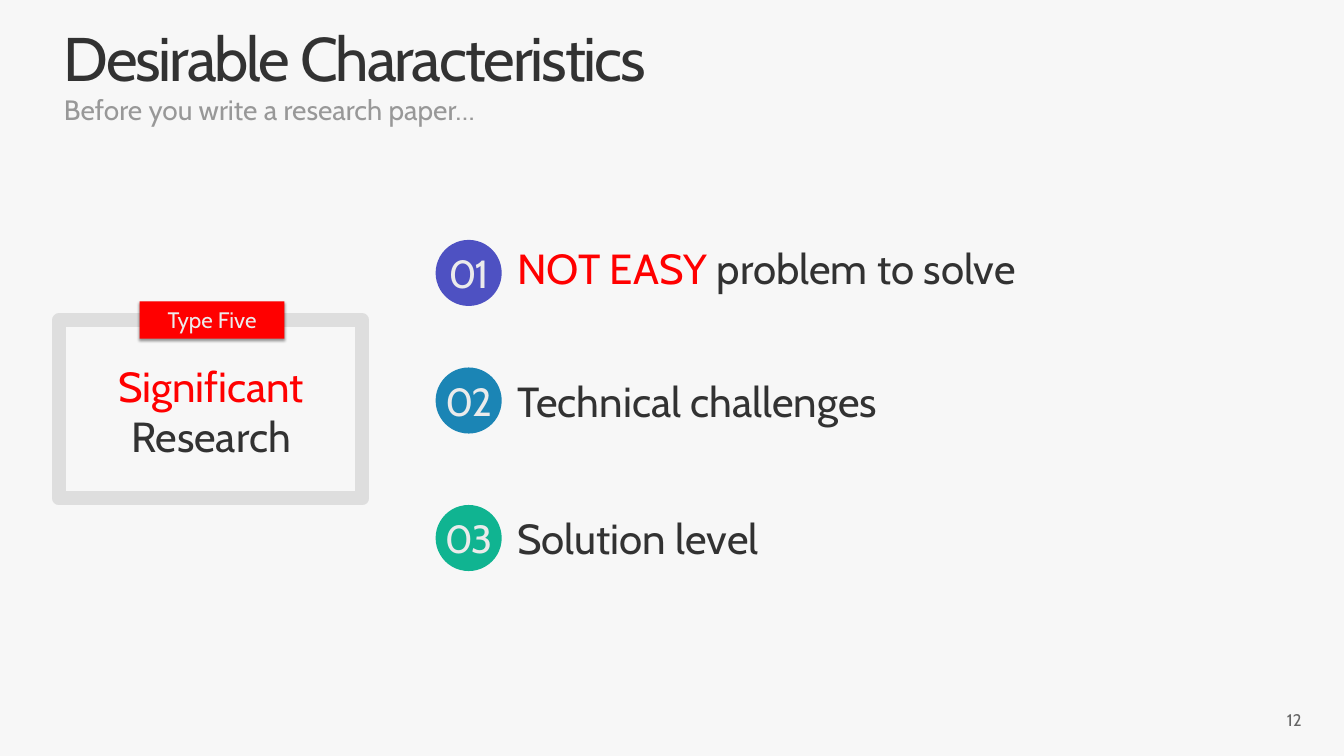
"""Build the slide on the desirable characteristics of significant research."""
from dataclasses import dataclass

from lxml import etree
from pptx import Presentation
from pptx import util as u
from pptx.dml.color import RGBColor
from pptx.enum import shapes, text
from pptx.oxml import ns

COLOURS = {
    "page": "F7F7F7", "dark": "323232", "grey": "989898", "number": "656565",
    "frame": "DEDEDE", "red": "FF0000", "light": "EBEBEB",
    "violet": "4E51C2", "blue": "1B85B5", "green": "10B491",
}
FONT = "Cabin"
BADGE_LEFT, BADGE_SIZE = 21.95, 3.33
ITEM_LEFT, ITEM_WIDTH, ITEM_HEIGHT = 25.81, 38.43, 2.82
TEXT_INSETS = (0.25, 0.13)


@dataclass(frozen=True)
class Area:
    left: float
    top: float
    width: float
    height: float

    def lengths(self) -> tuple:
        return tuple(map(u.Cm, (self.left, self.top, self.width, self.height)))


@dataclass(frozen=True)
class Span:
    words: str
    colour: str


@dataclass(frozen=True)
class Item:
    number: str
    badge_colour: str
    badge_top: float
    text_top: float
    spans: tuple


ITEMS = (
    Item("01", "violet", 12.09, 12.09,
         (Span("NOT EASY ", "red"), Span("problem to solve", "dark"))),
    Item("02", "blue", 18.52, 18.77, (Span("Technical challenges", "dark"),)),
    Item("03", "green", 25.45, 25.7, (Span("Solution level", "dark"),)),
)


def colour(name: str) -> RGBColor:
    return RGBColor.from_string(COLOURS[name])


def write(box, *spans: Span, size: float, align=text.PP_ALIGN.LEFT,
          anchor=text.MSO_ANCHOR.TOP, insets=TEXT_INSETS, wrap=True,
          line_spacing=1.0, tracking=0) -> None:
    frame = box.text_frame
    frame.word_wrap = wrap
    frame.vertical_anchor = anchor
    frame.margin_left = frame.margin_right = u.Cm(insets[0])
    frame.margin_top = frame.margin_bottom = u.Cm(insets[1])
    para = frame.paragraphs[0]
    para.alignment = align
    para.line_spacing = line_spacing
    for span in spans:
        run = para.add_run()
        run.text = span.words
        run.font.name = FONT
        run.font.size = u.Pt(size)
        run.font.color.rgb = colour(span.colour)
        if tracking:
            run.font._element.set("spc", str(tracking * 100))


def add_text(parent, area: Area, *spans: Span, **style):
    box = parent.add_textbox(*area.lengths())
    write(box, *spans, **style)
    return box


def add_plain_shape(parent, kind, area: Area, fill: str | None = None):
    shape = parent.add_shape(kind, *area.lengths())
    shape.shadow.inherit = False
    shape.line.fill.background()
    if fill:
        shape.fill.solid()
        shape.fill.fore_color.rgb = colour(fill)
    else:
        shape.fill.background()
    return shape


def add_drop_shadow(shape) -> None:
    effects = shape._element.spPr.find(ns.qn("a:effectLst"))
    shadow = etree.SubElement(effects, ns.qn("a:outerShdw"), blurRad=str(u.Pt(4)),
                              dist=str(u.Pt(3)), dir="5400000", rotWithShape="0")
    tint = etree.SubElement(shadow, ns.qn("a:srgbClr"), val="000000")
    etree.SubElement(tint, ns.qn("a:alpha"), val="40000")


def add_type_card(page) -> None:
    card = page.shapes.add_group_shape().shapes
    rectangle = shapes.MSO_SHAPE.RECTANGLE
    border = add_plain_shape(card, rectangle, Area(2.97, 16.15, 15.29, 8.97))
    border.line.color.rgb = colour("frame")
    border.line.width = u.Pt(20)
    add_text(card, Area(3.86, 18.03, 13.54, 5.38), Span("Significant ", "red"),
             Span("Research", "dark"), size=60, align=text.PP_ALIGN.CENTER)
    tag = add_plain_shape(card, rectangle, Area(7.04, 15.19, 7.29, 1.88), "red")
    add_drop_shadow(tag)
    write(tag, Span("Type Five", "light"), size=32, align=text.PP_ALIGN.CENTER,
          insets=(0.51, 0.25))


def add_item(page, item: Item) -> None:
    add_text(page.shapes, Area(ITEM_LEFT, item.text_top, ITEM_WIDTH, ITEM_HEIGHT),
             *item.spans, size=60)
    badge = add_plain_shape(page.shapes, shapes.MSO_SHAPE.OVAL,
                            Area(BADGE_LEFT, item.badge_top, BADGE_SIZE, BADGE_SIZE),
                            item.badge_colour)
    write(badge, Span(item.number, "light"), size=56, align=text.PP_ALIGN.CENTER,
          anchor=text.MSO_ANCHOR.MIDDLE, insets=(0, 0), wrap=False, tracking=-3)


def main() -> None:
    deck = Presentation()
    deck.slide_width, deck.slide_height = u.Cm(67.72), u.Cm(38.1)
    page = deck.slides.add_slide(deck.slide_layouts[6])
    page.background.fill.solid()
    page.background.fill.fore_color.rgb = colour("page")
    add_text(page.shapes, Area(2.97, 1.14, 61.85, 3.76),
             Span("Desirable Characteristics", "dark"), size=88,
             anchor=text.MSO_ANCHOR.BOTTOM, line_spacing=0.9, tracking=-3)
    add_text(page.shapes, Area(2.97, 4.72, 61.85, 1.55),
             Span("Before you write a research paper…", "grey"), size=40,
             line_spacing=0.9)
    add_text(page.shapes, Area(50.6, 35.28, 15.24, 2.03), Span("12", "number"),
             size=24, align=text.PP_ALIGN.RIGHT, anchor=text.MSO_ANCHOR.MIDDLE)
    add_type_card(page)
    for item in ITEMS:
        add_item(page, item)
    deck.save("out.pptx")


if __name__ == "__main__":
    main()
